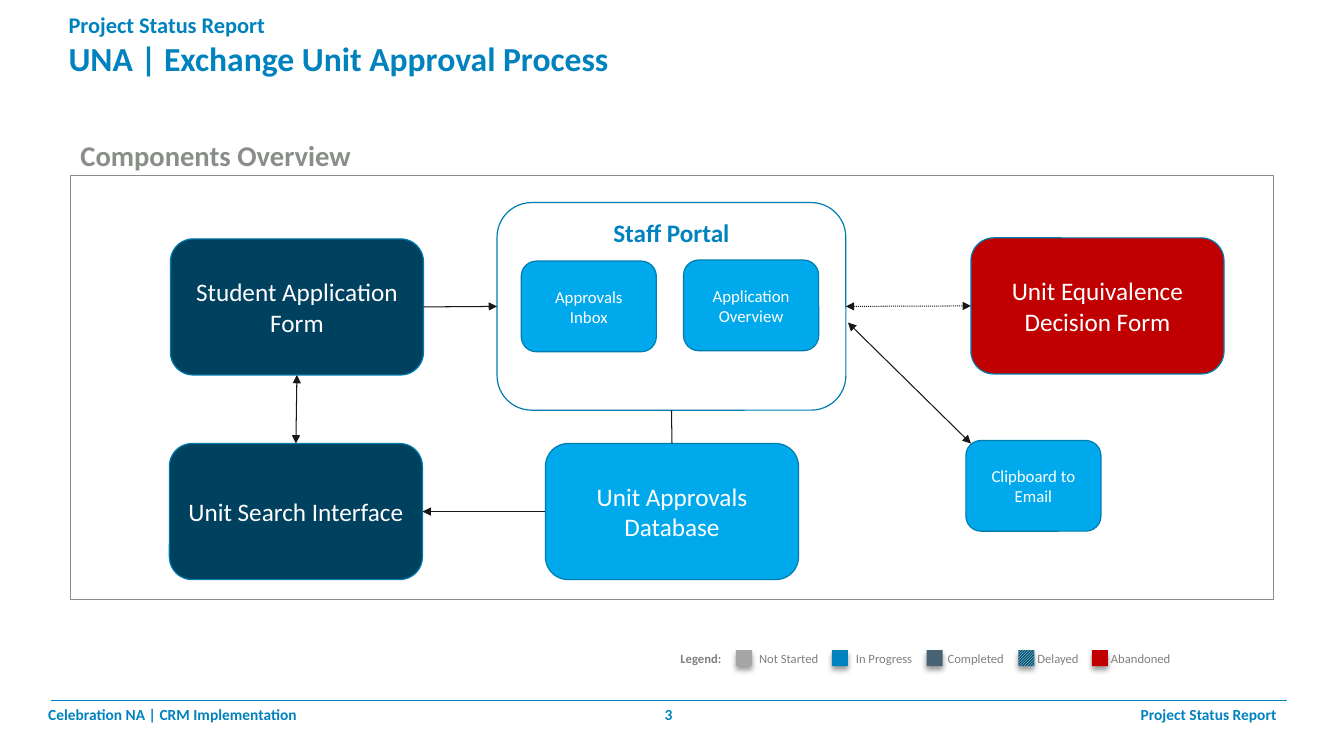
from lxml.etree import SubElement
from pptx import Presentation
from pptx.dml.color import RGBColor
from pptx.enum.dml import MSO_LINE, MSO_PATTERN
from pptx.enum.shapes import MSO_CONNECTOR, MSO_SHAPE
from pptx.enum.text import MSO_ANCHOR, MSO_AUTO_SIZE, PP_ALIGN
from pptx.oxml import parse_xml
from pptx.oxml.ns import nsdecls, qn
from pptx.util import Inches, Pt

FONT = "Calibri"
BLUE = RGBColor(0x00, 0x82, 0xBE)
EDGE = RGBColor(0x00, 0x7D, 0xAF)
NAVY = RGBColor(0x00, 0x41, 0x5F)
SKY = RGBColor(0x00, 0xA9, 0xEC)
RED = RGBColor(0xC0, 0x00, 0x00)
GREY = RGBColor(0x89, 0x8E, 0x89)
LABEL = RGBColor(0x80, 0x80, 0x80)
INK = RGBColor(0x17, 0x18, 0x17)
WHITE = RGBColor(0xFF, 0xFF, 0xFF)
LIGHT = RGBColor(0xA6, 0xA6, 0xA6)
SLATE = RGBColor(0x48, 0x64, 0x74)
TEAL = RGBColor(0x00, 0x54, 0x76)
TOP, LEFT, BOTTOM, RIGHT = range(4)
LARGE, SMALL = (2.51, 1.35), (1.34, 0.9)


def style(run, size, color, bold=False):
    """Format one run."""
    run.font.name, run.font.size, run.font.bold = FONT, Pt(size), bold
    run.font.color.rgb = color


def write(shape, text, size, color, bold=False, align=PP_ALIGN.LEFT, anchor=MSO_ANCHOR.TOP):
    """Fill a shape with one styled paragraph."""
    frame = shape.text_frame
    frame.text, frame.vertical_anchor = text, anchor
    frame.paragraphs[0].alignment = align
    style(frame.paragraphs[0].runs[0], size, color, bold)


def add_label(slide, box, text, size, color, bold=False, align=PP_ALIGN.LEFT,
              anchor=MSO_ANCHOR.TOP, wrap=True):
    """Add a text box."""
    label = slide.shapes.add_textbox(*map(Inches, box))
    label.text_frame.word_wrap = wrap
    write(label, text, size, color, bold, align, anchor)


def add_block(slide, kind, box, fill=None, line=None):
    """Add a preset shape without a shadow."""
    block = slide.shapes.add_shape(kind, *map(Inches, box))
    block.shadow.inherit = False
    if fill:
        block.fill.solid()
        block.fill.fore_color.rgb = fill
    else:
        block.fill.background()
    if line:
        block.line.color.rgb, block.line.width = line, Pt(0.85)
    else:
        block.line.fill.background()
    return block


def add_component(slide, left, top, size, text, fill):
    """Add a rounded component with centred white text."""
    component = add_block(slide, MSO_SHAPE.ROUNDED_RECTANGLE, (left, top, *size), fill, EDGE)
    write(component, text, 18 if size == LARGE else 12, WHITE,
          align=PP_ALIGN.CENTER, anchor=MSO_ANCHOR.MIDDLE)
    return component


def add_line(slide, start, end, color=INK, heads=(), dash=None):
    """Add a thin straight line with optional arrowheads."""
    line = slide.shapes.add_connector(MSO_CONNECTOR.STRAIGHT, *map(Inches, (*start, *end)))
    line.line.color.rgb, line.line.width = color, Pt(0.75)
    if dash:
        line.line.dash_style = dash
    for head in heads:
        SubElement(line.line._get_or_add_ln(), qn(f"a:{head}"), type="triangle")
    SubElement(line._element.spPr, qn("a:effectLst"))
    return line


def link(slide, source, source_side, target, target_side, heads=(), dash=None):
    """Join the sides of two components."""
    line = add_line(slide, (0, 0), (0, 0), heads=heads, dash=dash)
    line.begin_connect(source, source_side)
    line.end_connect(target, target_side)


def add_title(slide, left, top, width, height):
    """Place the two-line title."""
    title = slide.shapes.title
    title.left, title.top, title.width, title.height = map(Inches, (left, top, width, height))
    frame = title.text_frame
    frame.text = "Project Status Report\vUNA | Exchange Unit Approval Process"
    frame.auto_size, frame.vertical_anchor = MSO_AUTO_SIZE.NONE, MSO_ANCHOR.MIDDLE
    frame.paragraphs[0].alignment = PP_ALIGN.LEFT
    for run, size in zip(frame.paragraphs[0].runs, (16, 24)):
        style(run, size, BLUE, True)


def add_overview(slide, left, top, width, height):
    """Draw the framed component diagram under its heading."""
    add_label(slide, (left, top - 0.4, width, 0.39), "Components Overview", 20.4, GREY, True,
              anchor=MSO_ANCHOR.MIDDLE)
    add_block(slide, MSO_SHAPE.RECTANGLE, (left, top, width, height), line=GREY)

    def component(x, y, size, text, fill):
        return add_component(slide, left + x, top + y, size, text, fill)

    portal = add_block(slide, MSO_SHAPE.ROUNDED_RECTANGLE,
                       (left + 4.23, top + 0.27, 3.46, 2.06), line=EDGE)
    write(portal, "Staff Portal", 18, BLUE, True, PP_ALIGN.CENTER)
    student = component(0.99, 0.63, LARGE, "Student Application Form", NAVY)
    decision = component(8.93, 0.62, LARGE, "Unit Equivalence Decision Form", RED)
    database = component(4.71, 2.66, LARGE, "Unit Approvals Database", SKY)
    search = component(0.98, 2.66, LARGE, "Unit Search Interface", NAVY)
    component(4.47, 0.85, SMALL, "Approvals Inbox", SKY)
    component(6.08, 0.84, SMALL, "Application Overview", SKY)

    both = ("headEnd", "tailEnd")
    link(slide, student, RIGHT, portal, LEFT, ("tailEnd",))
    link(slide, portal, RIGHT, decision, LEFT, both, MSO_LINE.ROUND_DOT)
    link(slide, database, TOP, portal, BOTTOM)
    link(slide, search, TOP, student, BOTTOM, both)
    link(slide, search, RIGHT, database, LEFT, ("headEnd",))
    add_line(slide, (left + 7.71, top + 1.46), (left + 8.93, top + 2.66), heads=both)
    component(8.88, 2.63, SMALL, "Clipboard to Email", SKY)


def add_swatch_shadow(swatch):
    """Give a legend swatch a soft shadow below it."""
    properties = swatch._element.spPr
    properties.remove(properties.find(qn("a:effectLst")))
    properties.append(parse_xml(
        f'<a:effectLst {nsdecls("a")}><a:outerShdw blurRad="{Pt(4)}" dist="{Pt(3)}" '
        'dir="5400000" rotWithShape="0"><a:srgbClr val="000000"><a:alpha val="40000"/>'
        '</a:srgbClr></a:outerShdw></a:effectLst>'))


def add_legend(slide, left, top):
    """Draw the status legend."""
    add_label(slide, (left, top, 0.61, 0.25), "Legend:", 9, LABEL, True, wrap=False)
    statuses = (("Not Started", LIGHT, 0.65, 0.13), ("In Progress", BLUE, 1.6, 0.14),
                ("Completed", SLATE, 2.54, 0.11), ("Delayed", TEAL, 3.45, 0.09),
                ("Abandoned", RED, 4.18, 0.09))
    for status, color, offset, gap in statuses:
        swatch = add_block(slide, MSO_SHAPE.RECTANGLE,
                           (left + offset, top + 0.04, 0.16, 0.16), color)
        if status == "Delayed":
            swatch.fill.patterned()
            swatch.fill.pattern = MSO_PATTERN.LIGHT_UPWARD_DIAGONAL
            swatch.fill.fore_color.rgb, swatch.fill.back_color.rgb = WHITE, color
        add_swatch_shadow(swatch)
        add_label(slide, (left + offset + gap, top, 0.79, 0.25), status, 9, LABEL, wrap=False)


def add_footer(slide, left, top, width):
    """Draw the rule and the three footer texts."""
    add_line(slide, (left + 0.13, top), (left + width, top), BLUE)
    texts = (("Celebration NA | CRM Implementation", 0, PP_ALIGN.LEFT),
             ("3", 4.76, PP_ALIGN.CENTER),
             ("Project Status Report", width - 2.98, PP_ALIGN.RIGHT))
    for text, offset, align in texts:
        add_label(slide, (left + offset, top, 2.98, 0.29), text, 11, BLUE, True, align)


def main():
    """Build and save the slide."""
    deck = Presentation()
    deck.slide_width, deck.slide_height = Inches(13.33), Inches(7.5)
    slide = deck.slides.add_slide(deck.slide_layouts[5])
    add_title(slide, 0.58, 0.05, 11.93, 0.79)
    add_overview(slide, 0.7, 1.74, 11.93, 4.21)
    add_legend(slide, 6.65, 6.41)
    add_footer(slide, 0.38, 6.95, 12.38)
    deck.save("out.pptx")


main()
